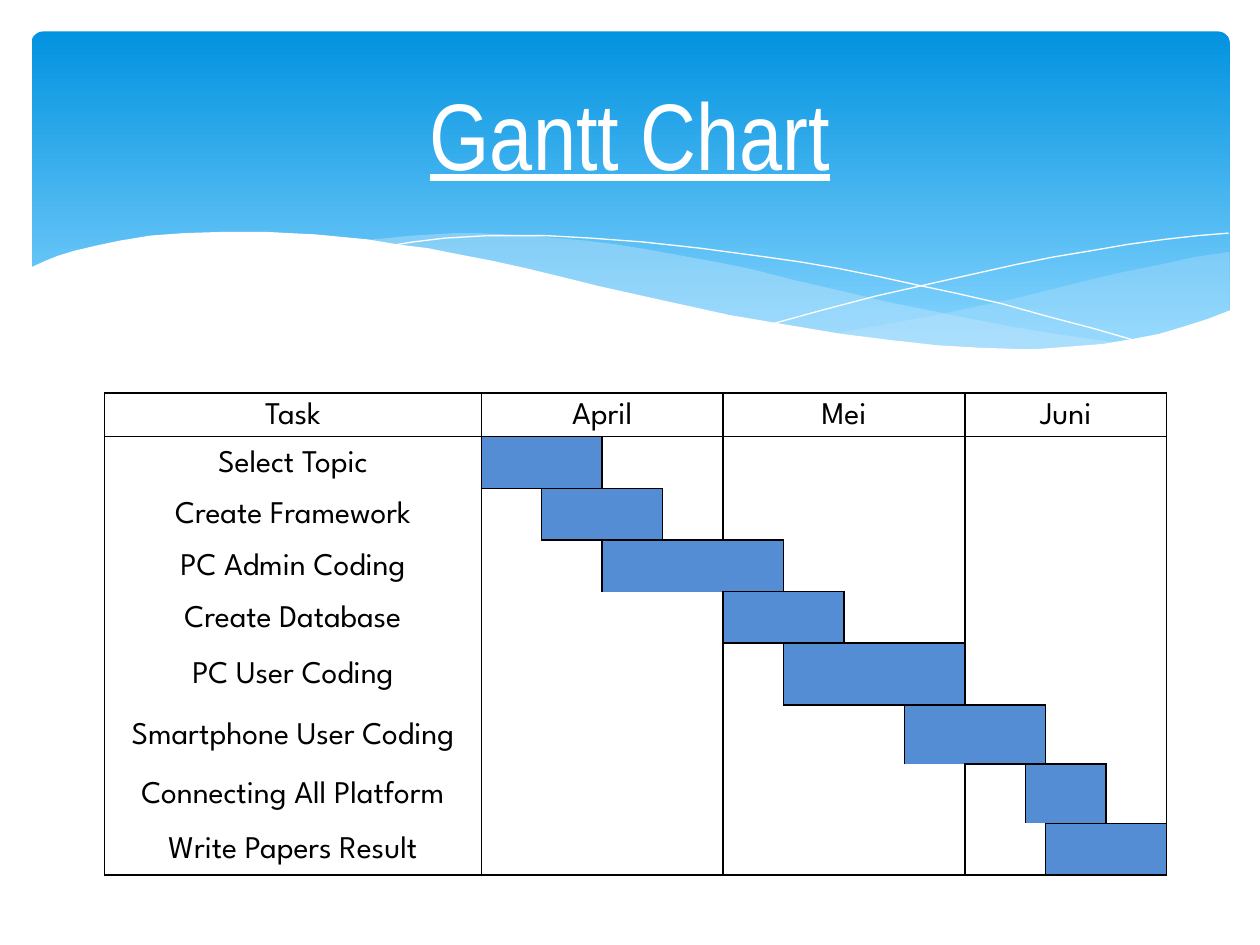
from dataclasses import dataclass

from lxml import etree
from pptx import Presentation
from pptx.dml.color import RGBColor
from pptx.enum.shapes import MSO_SHAPE
from pptx.enum.text import MSO_ANCHOR, PP_ALIGN
from pptx.oxml.ns import qn
from pptx.util import Inches, Pt

ROUNDED = MSO_SHAPE.ROUNDED_RECTANGLE
MIDDLE = MSO_ANCHOR.MIDDLE
CENTER = PP_ALIGN.CENTER
NO_GRID_STYLE = "{2D5ABB26-0587-4C30-8999-92F81FD0307C}"


@dataclass(frozen=True)
class Theme:
    sky_top: str = "0293E0"
    sky_bottom: str = "83D3FE"
    mist: str = "C6E7FC"
    white: str = "FFFFFF"
    ink: str = "000000"
    bar: str = "548DD4"
    title_font: str = "Arial Narrow"
    body_font: str = "League Spartan"
    title_size: int = 54
    body_size: int = 18


THEME = Theme()

RIGHT_WAVE = [
    (9.75, 2), (9.48, 2.04), (9.21, 2.1), (8.91, 2.16), (8.61, 2.23), (8.05, 2.37),
    (7.53, 2.48), (7.06, 2.57), (6.61, 2.65), (6.91, 2.69), (7.19, 2.72), (7.45, 2.75),
    (7.69, 2.77), (8.03, 2.78), (8.35, 2.77), (8.63, 2.75), (8.89, 2.72), (9.13, 2.67),
    (9.35, 2.62), (9.49, 2.57), (9.63, 2.52), (9.76, 2.47), (9.76, 2)]
MIDDLE_WAVE = [
    (8.93, 2.73), (8.66, 2.69), (8.37, 2.65), (8.07, 2.6), (7.75, 2.54), (7.41, 2.47),
    (7.06, 2.4), (6.68, 2.31), (6.29, 2.22), (5.98, 2.14), (5.69, 2.08), (5.41, 2.03),
    (5.14, 1.98), (4.89, 1.94), (4.65, 1.91), (4.42, 1.89), (4.2, 1.87), (3.99, 1.86),
    (3.8, 1.85), (3.61, 1.85), (3.28, 1.87), (2.86, 1.91), (3.23, 1.96), (3.62, 2.03),
    (4.04, 2.11), (4.49, 2.22), (4.91, 2.32), (5.3, 2.4), (5.66, 2.48), (6.01, 2.55),
    (6.34, 2.61), (6.65, 2.66), (6.95, 2.7), (7.22, 2.74), (7.48, 2.76), (7.73, 2.77),
    (8.07, 2.78), (8.38, 2.78), (8.67, 2.76)]
FALLING_LINE = [
    (3.09, 1.95), (3.28, 1.92), (3.53, 1.89), (3.87, 1.87), (4.33, 1.87), (4.69, 1.89),
    (5.1, 1.92), (5.56, 1.97), (6.08, 2.04), (6.36, 2.08), (6.65, 2.13), (6.95, 2.19),
    (7.27, 2.26), (7.6, 2.33), (7.95, 2.41), (8.31, 2.51), (8.69, 2.61), (9.07, 2.72)]
RISING_LINE = [
    (6.13, 2.57), (6.53, 2.46), (6.95, 2.35), (7.48, 2.23), (8.06, 2.1), (8.36, 2.04),
    (8.66, 1.99), (8.95, 1.94), (9.24, 1.9), (9.51, 1.87), (9.75, 1.85)]
WHITE_WAVE = [
    (9.77, 2.46), (9.59, 2.53), (9.4, 2.59), (9.2, 2.65), (8.99, 2.69), (8.75, 2.73),
    (8.5, 2.75), (8.23, 2.77), (8.09, 2.77), (7.78, 2.76), (7.44, 2.74), (7.08, 2.7),
    (6.68, 2.65), (6.26, 2.58), (5.79, 2.5), (5.29, 2.39), (4.75, 2.27), (4.47, 2.2),
    (4.18, 2.13), (3.91, 2.07), (3.65, 2.02), (3.4, 1.97), (3.16, 1.94), (2.92, 1.9),
    (2.71, 1.88), (2.5, 1.86), (2.3, 1.85), (2.11, 1.84), (1.77, 1.84), (1.46, 1.85),
    (1.19, 1.87), (0.95, 1.91), (0.76, 1.95), (0.59, 1.99), (0.46, 2.03), (0.36, 2.07),
    (0.23, 2.13), (0.23, 3.29), (9.77, 3.29)]

COLUMN_WIDTHS = [2.99] + [0.48] * 9 + [0.16] + [0.48] * 2
ROW_HEIGHTS = [0.33, 0.41, 0.41, 0.41, 0.41, 0.49, 0.47, 0.47, 0.41]
WEEKS = 4
MONTHS = {"April": 1, "Mei": 5, "Juni": 9}
# Each task with the first and last column of its bar.
TASKS = [
    ("Select Topic", 1, 2),
    ("Create Framework", 2, 3),
    ("PC Admin Coding", 3, 5),
    ("Create Database", 5, 6),
    ("PC User Coding", 6, 8),
    ("Smartphone User Coding", 8, 10),
    ("Connecting All Platform", 10, 11),
    ("Write Papers Result", 11, 12),
]


def color(value):
    return RGBColor.from_string(value)


def add_span(para, text, font, size, ink):
    span = para.add_run()
    span.text = text
    span.font.name = font
    span.font.size = Pt(size)
    span.font.color.rgb = color(ink)
    return span


def add_sky(page):
    sky = page.shapes.add_shape(ROUNDED, Inches(0.25), Inches(0.25), Inches(9.51), Inches(2.7))
    sky.adjustments[0] = 0.034
    sky.shadow.inherit = False
    sky.line.fill.background()
    sky.fill.gradient()
    sky.fill.gradient_angle = 270
    top, bottom = sky.fill.gradient_stops
    top.color.rgb, top.position = color(THEME.sky_top), 0
    bottom.color.rgb, bottom.position = color(THEME.sky_bottom), 0.9


def add_outline(page, points, closed):
    start, *rest = [(Inches(x), Inches(y)) for x, y in points]
    builder = page.shapes.build_freeform(*start)
    builder.add_line_segments(rest, close=closed)
    outline = builder.convert_to_shape()
    outline.shadow.inherit = False
    return outline


def add_wave(page, points, fill, opacity=100):
    wave = add_outline(page, points, True)
    wave.line.fill.background()
    wave.fill.solid()
    wave.fill.fore_color.rgb = color(fill)
    if opacity < 100:
        tint = wave.element.spPr.find(qn("a:solidFill"))[0]
        etree.SubElement(tint, qn("a:alpha"), val=str(opacity * 1000))


def add_wave_line(page, points):
    curve = add_outline(page, points, False)
    curve.fill.background()
    curve.line.color.rgb = color(THEME.white)
    curve.line.width = Pt(0)


def add_title(page, text):
    box = page.shapes.add_textbox(Inches(0.5), Inches(0.37), Inches(9), Inches(1.37))
    box.text_frame.word_wrap = True
    box.text_frame.vertical_anchor = MIDDLE
    para = box.text_frame.paragraphs[0]
    para.alignment = CENTER
    add_span(para, text, THEME.title_font, THEME.title_size, THEME.white).font.underline = True


def style_cell(cell, edges, fill=None):
    """Set fill and borders; edges holds letters out of L, R, T and B."""
    cell.margin_left = cell.margin_right = Inches(0.07)
    cell.margin_top = cell.margin_bottom = 0
    cell.vertical_anchor = MIDDLE
    properties = cell._tc.get_or_add_tcPr()
    for side in "LRTB":
        border = etree.SubElement(properties, qn(f"a:ln{side}"), w=str(Pt(1)))
        if side in edges:
            paint = etree.SubElement(border, qn("a:solidFill"))
            etree.SubElement(paint, qn("a:srgbClr"), val=THEME.ink)
        else:
            etree.SubElement(border, qn("a:noFill"))
    if fill:
        cell.fill.solid()
        cell.fill.fore_color.rgb = color(fill)
    else:
        cell.fill.background()


def add_block(table, row, first, last, edges, fill=None):
    cell = table.cell(row, first)
    if last > first:
        cell.merge(table.cell(row, last))
    style_cell(cell, edges, fill)
    return cell


def write_cell(cell, text):
    para = cell.text_frame.paragraphs[0]
    para.alignment = CENTER
    para.line_spacing = 1.15
    add_span(para, text, THEME.body_font, THEME.body_size, THEME.ink)


def bar_columns(row):
    if not 1 <= row <= len(TASKS):
        return range(0)
    _, first, last = TASKS[row - 1]
    return range(first, last + 1)


def add_gap(table, row, first, last, month_start):
    """Fill free time with borders at month ends and against nearby bars."""
    bar = bar_columns(row)
    edges = ""
    if first == month_start or first - 1 in bar:
        edges += "L"
    if last == month_start + WEEKS - 1 or last + 1 in bar:
        edges += "R"
    if row == 1 or (first == last and first in bar_columns(row - 1)):
        edges += "T"
    if row == len(TASKS) or first in bar_columns(row + 1):
        edges += "B"
    add_block(table, row, first, last, edges)


def add_task_row(table, row, name):
    edges = "LR" + ("T" if row == 1 else "") + ("B" if row == len(TASKS) else "")
    write_cell(add_block(table, row, 0, 0, edges), name)
    bar = bar_columns(row)
    add_block(table, row, bar[0], bar[-1], "LRTB", THEME.bar)
    for start in MONTHS.values():
        free = [week for week in range(start, start + WEEKS) if week not in bar]
        if len(free) == WEEKS or (free and row == len(TASKS)):
            add_gap(table, row, free[0], free[-1], start)
        else:
            for week in free:
                add_gap(table, row, week, week, start)


def add_gantt(page):
    frame = page.shapes.add_table(len(ROW_HEIGHTS), len(COLUMN_WIDTHS), Inches(0.83),
                                  Inches(3.12), Inches(8.43), Inches(3.81))
    table = frame.table
    table.first_row = table.horz_banding = False
    table._tbl.tblPr.find(qn("a:tableStyleId")).text = NO_GRID_STYLE
    for column, width in zip(table.columns, COLUMN_WIDTHS):
        column.width = Inches(width)
    for row, height in zip(table.rows, ROW_HEIGHTS):
        row.height = Inches(height)
    write_cell(add_block(table, 0, 0, 0, "LRTB"), "Task")
    for month, start in MONTHS.items():
        write_cell(add_block(table, 0, start, start + WEEKS - 1, "LRTB"), month)
    for row, (name, _, _) in enumerate(TASKS, start=1):
        add_task_row(table, row, name)


def main():
    deck = Presentation()
    deck.slide_width, deck.slide_height = Inches(10), Inches(7.5)
    page = deck.slides.add_slide(deck.slide_layouts[6])
    add_sky(page)
    add_wave(page, RIGHT_WAVE, THEME.mist, 29)
    add_wave(page, MIDDLE_WAVE, THEME.mist, 40)
    add_wave_line(page, FALLING_LINE)
    add_wave_line(page, RISING_LINE)
    add_wave(page, WHITE_WAVE, THEME.white)
    add_title(page, "Gantt Chart")
    add_gantt(page)
    deck.save("out.pptx")


if __name__ == "__main__":
    main()
